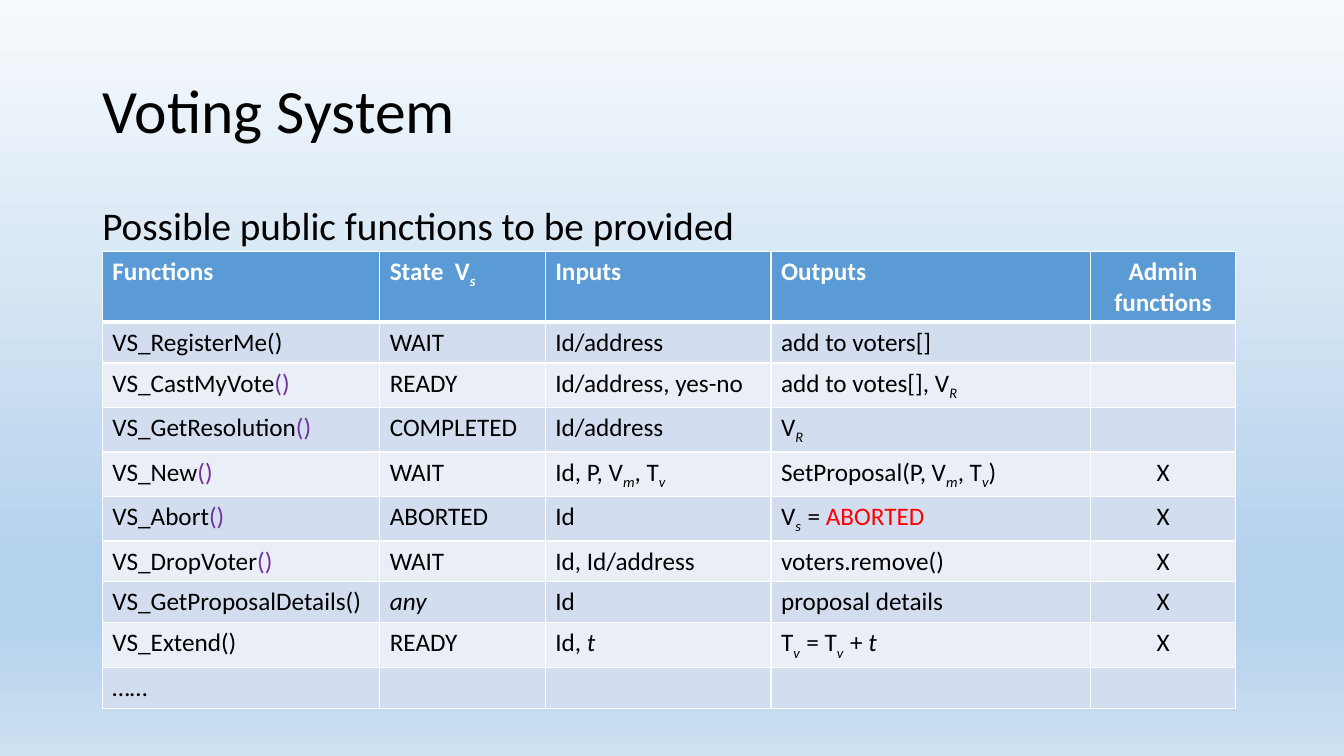
"""Build the Voting System slide with its table of public functions."""
from dataclasses import dataclass

from lxml import etree
from pptx import Presentation
from pptx import util as u
from pptx.dml.color import RGBColor
from pptx.enum import text
from pptx.oxml import ns


@dataclass(frozen=True)
class Theme:
    font: str = "Calibri"
    title: int = 44
    lead: int = 28
    body: int = 18
    ink: str = "000000"
    white: str = "FFFFFF"
    head: str = "5B9BD5"
    bands: tuple = ("D2DEEF", "EAEFF7")
    mark: str = "7030A0"
    alert: str = "FF0000"
    sky: tuple = ((0, "F7FAFD"), (74, "B5D2EC"), (83, "B5D2EC"), (100, "CEE1F2"))


class Deck:
    def __init__(self, theme):
        self.theme = theme
        self.file = Presentation()
        self.file.slide_width, self.file.slide_height = u.Cm(33.87), u.Cm(19.05)
        self.slide = self.file.slides.add_slide(self.file.slide_layouts[6])

    def node(self, parent, tag, **attrs):
        return etree.SubElement(parent, ns.qn(tag), attrs)

    def back(self):
        fill = self.slide.background.fill
        fill.gradient()
        fill.gradient_angle = 270
        stops = next(self.slide.element.iter(ns.qn("a:gsLst")))
        for stop in list(stops):
            stops.remove(stop)
        for place, tone in self.theme.sky:
            stop = self.node(stops, "a:gs", pos=str(place * 1000))
            self.node(stop, "a:srgbClr", val=tone)

    def fill_in(self, para, runs, size, tone, bold=False):
        for words, style in runs:
            run = para.add_run()
            run.text = words
            font = run.font
            font.name, font.size = self.theme.font, u.Pt(size)
            font.bold, font.italic = bold, style.get("slant", False)
            font.color.rgb = RGBColor.from_string(style.get("tone", tone))
            if style.get("low"):
                run._r.get_or_add_rPr().set("baseline", "-25000")

    def label(self, words, top, height, size, anchor):
        box = self.slide.shapes.add_textbox(
            u.Cm(2.33), u.Cm(top), u.Cm(29.21), u.Cm(height))
        frame = box.text_frame
        frame.word_wrap, frame.vertical_anchor = True, anchor
        para = frame.paragraphs[0]
        para.line_spacing = 0.9
        self.fill_in(para, [plain(words)], size, self.theme.ink)

    def edge(self, cell, row):
        props = cell._tc.get_or_add_tcPr()
        heavy = {0: "B", 1: "T"}.get(row)
        for side in "LRTB":
            width = u.Pt(3 if side == heavy else 1)
            line = self.node(props, "a:ln" + side, w=str(int(width)))
            fill = self.node(line, "a:solidFill")
            self.node(fill, "a:srgbClr", val=self.theme.white)

    def table(self, rows, widths, left, top, height):
        look = self.theme
        grid = self.slide.shapes.add_table(
            len(rows), len(widths), u.Cm(left), u.Cm(top),
            u.Cm(sum(widths)), u.Cm(height * len(rows))).table
        for col, width in zip(grid.columns, widths):
            col.width = u.Cm(width)
        for i, row in enumerate(rows):
            grid.rows[i].height = u.Cm(height)
            back = look.bands[(i - 1) % 2] if i else look.head
            for j, runs in enumerate(row):
                cell = grid.cell(i, j)
                self.edge(cell, i)
                cell.fill.solid()
                cell.fill.fore_color.rgb = RGBColor.from_string(back)
                para = cell.text_frame.paragraphs[0]
                if j == len(widths) - 1:
                    para.alignment = text.PP_ALIGN.CENTER
                self.fill_in(para, runs, look.body,
                             look.ink if i else look.white, bold=not i)


def plain(words):
    return words, {}


def sub(words):
    return words, {"slant": True, "low": True}


def slant(words):
    return words, {"slant": True}


def tint(words, tone):
    return words, {"tone": tone}


def line(*cells):
    return [[plain(c)] if isinstance(c, str) and c else list(c) for c in cells]


theme = Theme()


def call(name):
    return [plain(name), tint("()", theme.mark)]


def limits(start):
    return [plain(start + "P, V"), sub("m"), plain(", T"), sub("v")]


rows = [
    line("Functions", [plain("State  V"), sub("s")], "Inputs", "Outputs",
         "Admin functions"),
    line("VS_RegisterMe()", "WAIT", "Id/address", "add to voters[]", ""),
    line(call("VS_CastMyVote"), "READY", "Id/address, yes-no",
         [plain("add to votes[], V"), sub("R")], ""),
    line(call("VS_GetResolution"), "COMPLETED", "Id/address",
         [plain("V"), sub("R")], ""),
    line(call("VS_New"), "WAIT", limits("Id, "),
         limits("SetProposal(") + [plain(")")], "X"),
    line(call("VS_Abort"), "ABORTED", "Id",
         [plain("V"), sub("s  "), plain("= "), tint("ABORTED", theme.alert)], "X"),
    line(call("VS_DropVoter"), "WAIT", "Id, Id/address", "voters.remove()", "X"),
    line("VS_GetProposalDetails()", [slant("any")], "Id", "proposal details", "X"),
    line("VS_Extend()", "READY", [plain("Id, "), slant("t")],
         [plain("T"), sub("v  "), plain("= T"), sub("v  "), plain("+ "),
          slant("t")], "X"),
    line("……", "", "", "", ""),
]

deck = Deck(theme)
deck.back()
deck.label("Voting System", 1.02, 3.68, theme.title, text.MSO_ANCHOR.MIDDLE)
deck.label("Possible public functions to be provided", 5.08, 12.09, theme.lead,
           text.MSO_ANCHOR.TOP)
deck.table(rows, [6.99, 4.17, 5.69, 8.05, 3.66], left=2.58, top=6.34, height=1.03)
deck.file.save("out.pptx")
